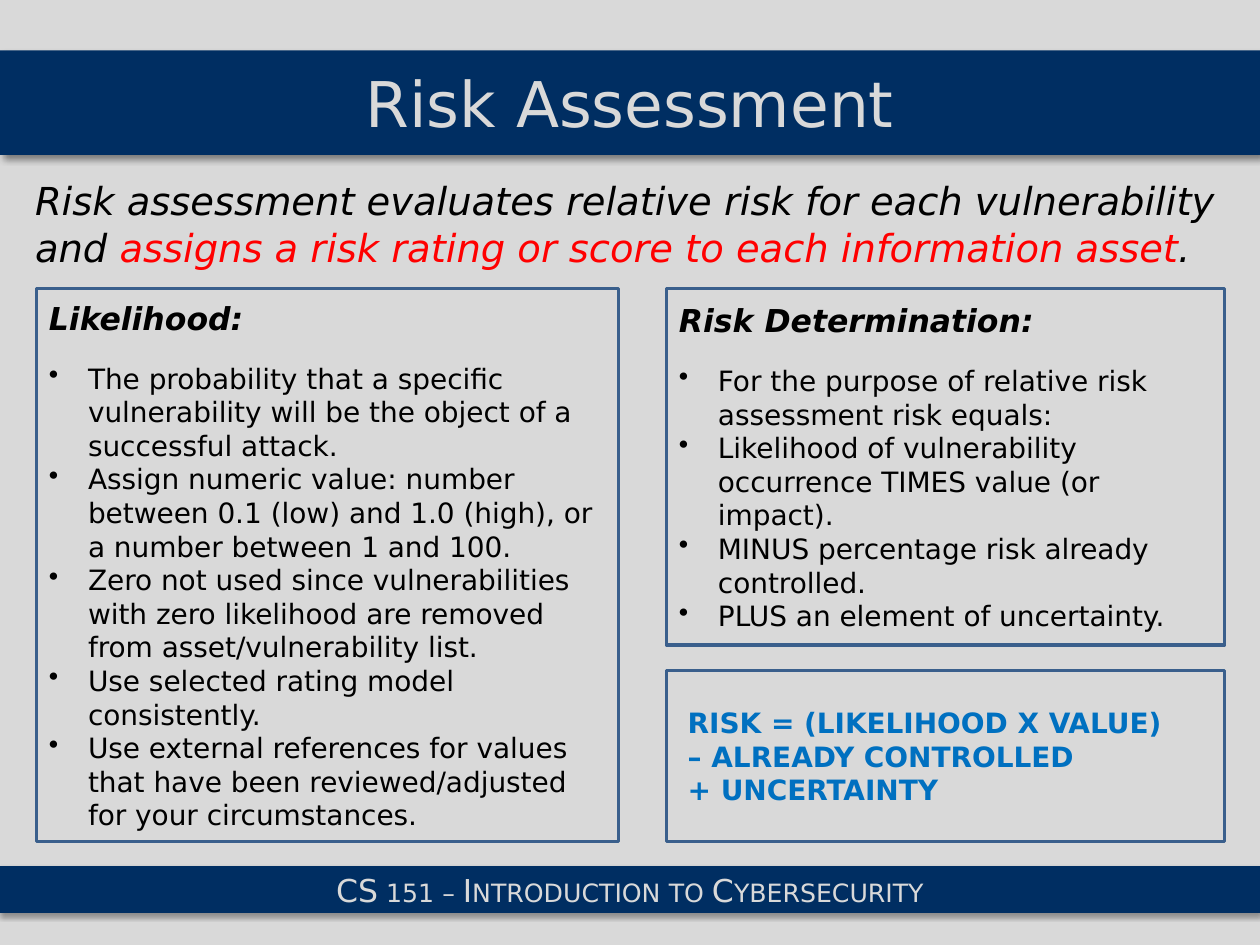
"""Build the Risk Assessment slide."""
from dataclasses import dataclass

import pptx
import pptx.dml.color
import pptx.enum.shapes
import pptx.enum.text
import pptx.oxml
import pptx.oxml.ns
import pptx.util

COLS, ROWS = 100, 75
WIDTH, HEIGHT = pptx.util.Inches(10), pptx.util.Inches(7.5)
LEFT, RIGHT, TOP, BOTTOM = 2.9, 52.9, 22.9, 66.8
LEFT_WIDTH, RIGHT_WIDTH = 46.2, 44.3
FORMULA_TOP, GAP = 53.2, 2


@dataclass(frozen=True)
class Theme:
    """Colours, font and type sizes of the slide."""
    font: str = "DejaVu Sans"
    back: str = "D9D9D9"
    navy: str = "002E62"
    border: str = "3A5F8C"
    text: str = "000000"
    alert: str = "FF0000"
    formula: str = "0070C0"
    title: int = 36
    lead: int = 22
    heading: int = 18
    body: int = 16


THEME = Theme()

LEAD = [
    ("Risk assessment evaluates relative risk for each vulnerability and ", THEME.text),
    ("assigns a risk rating or score to each information asset", THEME.alert),
    (".", THEME.text),
]
LIKELIHOOD = [
    "The probability that a specific vulnerability will be the object of a successful attack.",
    "Assign numeric value: number between 0.1 (low) and 1.0 (high), or a number between 1 and 100.",
    "Zero not used since vulnerabilities with zero likelihood are removed from "
    "asset/vulnerability list.",
    "Use selected rating model consistently.",
    "Use external references for values that have been reviewed/adjusted for your circumstances.",
]
DETERMINATION = [
    "For the purpose of relative risk assessment risk equals:",
    "Likelihood of vulnerability occurrence TIMES value (or impact).",
    "MINUS percentage risk already controlled.",
    "PLUS an element of uncertainty.",
]
FORMULA = "RISK = (LIKELIHOOD X VALUE)\v– ALREADY CONTROLLED\v+ UNCERTAINTY"


def rgb(color):
    """Return a colour object for a hex string."""
    return pptx.dml.color.RGBColor.from_string(color)


def grid(col, row, cols, rows):
    """Turn grid columns and rows into slide lengths."""
    return (int(WIDTH * col / COLS), int(HEIGHT * row / ROWS),
            int(WIDTH * cols / COLS), int(HEIGHT * rows / ROWS))


def style(p, size, color, bold=False, italic=False):
    """Format every run of a paragraph."""
    for r in p.runs:
        font = r.font
        font.name, font.size = THEME.font, pptx.util.Pt(size)
        font.bold, font.italic = bold, italic
        font.color.rgb = rgb(color)


def add_shadow(s, alpha, blur, distance, angle):
    """Give a shape an outer shadow."""
    s.shadow.inherit = False
    effects = s._element.spPr.find(pptx.oxml.ns.qn("a:effectLst"))
    effects.append(pptx.oxml.parse_xml(
        f'<a:outerShdw {pptx.oxml.ns.nsdecls("a")} blurRad="{pptx.util.Pt(blur)}" '
        f'dist="{pptx.util.Pt(distance)}" dir="{angle * 60000}" rotWithShape="0">'
        f'<a:srgbClr val="000000"><a:alpha val="{alpha * 1000}"/></a:srgbClr></a:outerShdw>'))


def fill_band(s, text, size):
    """Make a shape a navy band with centred text."""
    s.fill.solid()
    s.fill.fore_color.rgb = rgb(THEME.navy)
    tf = s.text_frame
    tf.text = text
    tf.vertical_anchor = pptx.enum.text.MSO_ANCHOR.MIDDLE
    p = tf.paragraphs[0]
    p.alignment = pptx.enum.text.PP_ALIGN.CENTER
    style(p, size, THEME.back)


def add_title(slide, text):
    """Place the title as a band across the slide."""
    s = slide.shapes.title
    s.left, s.top, s.width, s.height = grid(0, 4, COLS, 8.3)
    fill_band(s, text, THEME.title)
    add_shadow(s, 43, 4, 3, 45)


def add_rectangle(slide, place, line, width):
    """Add an outlined rectangle."""
    s = slide.shapes.add_shape(pptx.enum.shapes.MSO_SHAPE.RECTANGLE, *place)
    s.shadow.inherit = False
    s.line.color.rgb = rgb(line)
    s.line.width = pptx.util.Pt(width)
    return s


def add_footer(slide, text):
    """Add the course band in small capitals."""
    s = add_rectangle(slide, grid(0, 68.8, COLS, 3.6), THEME.navy, 0.75)
    fill_band(s, text, THEME.heading)
    for r in s.text_frame.paragraphs[0].runs:
        r._r.get_or_add_rPr().set("cap", "small")
    add_shadow(s, 35, 3.1, 1.8, 90)


def add_lead(slide, parts):
    """Add the opening sentence with its coloured parts."""
    tf = slide.shapes.add_textbox(*grid(1.8, 13.6, 96.5, 8.4)).text_frame
    tf.word_wrap = True
    p = tf.paragraphs[0]
    for text, color in parts:
        p.add_run().text = text
    style(p, THEME.lead, THEME.text, italic=True)
    for r, (text, color) in zip(p.runs, parts):
        r.font.color.rgb = rgb(color)


def add_panel(slide, place, text):
    """Add an unfilled panel and return its text frame."""
    s = add_rectangle(slide, place, THEME.border, 2)
    s.fill.background()
    tf = s.text_frame
    tf.text = text
    tf.word_wrap = True
    tf.vertical_anchor = pptx.enum.text.MSO_ANCHOR.MIDDLE
    tf.paragraphs[0].alignment = pptx.enum.text.PP_ALIGN.LEFT
    return tf


def add_bullet(tf, text):
    """Append a bulleted paragraph."""
    p = tf.add_paragraph()
    p.text = text
    p.alignment = pptx.enum.text.PP_ALIGN.LEFT
    pPr = p._p.get_or_add_pPr()
    indent = pptx.util.Inches(0.31)
    pPr.set("marL", str(indent))
    pPr.set("indent", str(-indent))
    pPr.append(pptx.oxml.parse_xml(f'<a:buChar {pptx.oxml.ns.nsdecls("a")} char="•"/>'))
    style(p, THEME.body, THEME.text)


def add_list_panel(slide, place, heading, items):
    """Add a panel with a heading and bullets."""
    tf = add_panel(slide, place, heading)
    p = tf.paragraphs[0]
    p.space_after = pptx.util.Pt(14)
    style(p, THEME.heading, THEME.text, bold=True, italic=True)
    for item in items:
        add_bullet(tf, item)


def add_formula(slide, place, text):
    """Add the panel with the risk formula."""
    tf = add_panel(slide, place, text)
    p = tf.paragraphs[0]
    p._p.get_or_add_pPr().set("marL", str(pptx.util.Inches(0.07)))
    style(p, THEME.body, THEME.formula, bold=True)


def main():
    """Build and save the slide."""
    prs = pptx.Presentation()
    prs.slide_width, prs.slide_height = WIDTH, HEIGHT
    slide = prs.slides.add_slide(prs.slide_layouts[5])
    slide.background.fill.solid()
    slide.background.fill.fore_color.rgb = rgb(THEME.back)
    add_title(slide, "Risk Assessment")
    add_footer(slide, "CS 151 – Introduction to Cybersecurity")
    add_lead(slide, LEAD)
    add_list_panel(slide, grid(LEFT, TOP, LEFT_WIDTH, BOTTOM - TOP), "Likelihood:", LIKELIHOOD)
    add_list_panel(slide, grid(RIGHT, TOP, RIGHT_WIDTH, FORMULA_TOP - GAP - TOP),
                   "Risk Determination:", DETERMINATION)
    add_formula(slide, grid(RIGHT, FORMULA_TOP, RIGHT_WIDTH, BOTTOM - FORMULA_TOP), FORMULA)
    prs.save("out.pptx")


if __name__ == "__main__":
    main()
